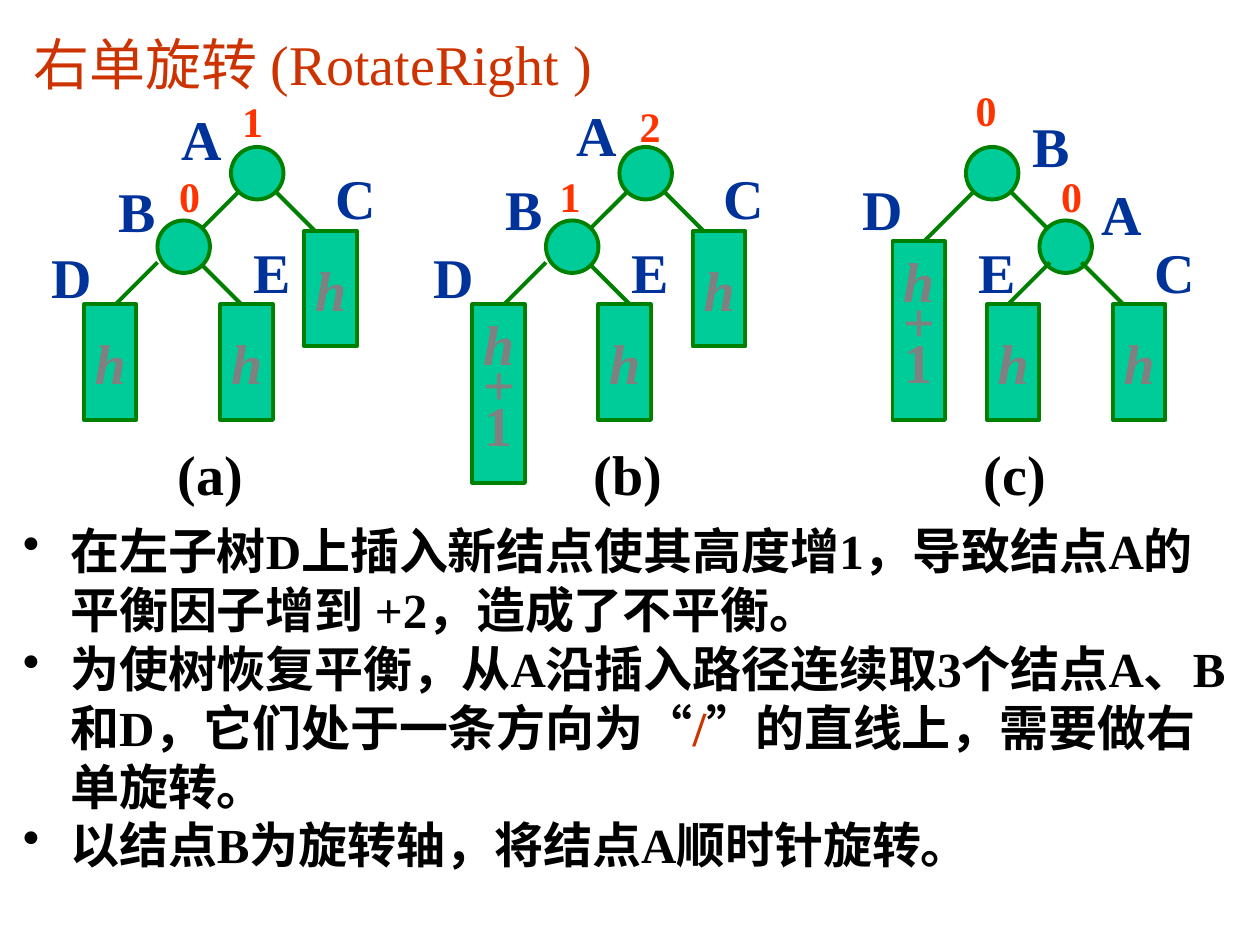
"""Build the slide on right single rotation of a balanced tree."""
from dataclasses import dataclass
from typing import NamedTuple

from lxml.etree import SubElement
from pptx import Presentation
from pptx.dml.color import RGBColor
from pptx.enum.shapes import MSO_CONNECTOR, MSO_SHAPE
from pptx.enum.text import MSO_ANCHOR, MSO_AUTO_SIZE, PP_ALIGN
from pptx.oxml.ns import qn
from pptx.util import Pt

PX = 9525
SIDE = 40
FONT = "Times New Roman"
HEX = {
    "title": "CC3300", "name": "003399", "mark": "FF3300", "text": "000000",
    "high": "808080", "fill": "00CC99", "line": "008000",
}


class Run(NamedTuple):
    text: str
    color: str = ""
    slant: bool = False


class Edge(NamedTuple):
    x: int
    y: int
    to_x: int
    to_y: int


class Spot(NamedTuple):
    x: int
    y: int
    text: str = ""


class Box(NamedTuple):
    x: int
    y: int
    tall: bool = False


@dataclass
class Tree:
    edges: list[Edge]
    nodes: list[Spot]
    boxes: list[Box]
    names: list[Spot]
    marks: list[Spot]
    low: tuple[Edge, ...] = ()


TREES = [
    Tree(
        edges=[Edge(192, 136, 152, 176), Edge(200, 136, 248, 184),
               Edge(120, 200, 80, 240), Edge(152, 200, 200, 248)],
        nodes=[Spot(176, 112), Spot(120, 168)],
        boxes=[Box(64, 232), Box(168, 232), Box(232, 176)],
        names=[Spot(129, 75, "A"), Spot(81, 130, "B"), Spot(246, 120, "C"),
               Spot(30, 180, "D"), Spot(184, 176, "E")],
        marks=[Spot(175, 68, "1"), Spot(127, 125, "0")],
    ),
    Tree(
        edges=[Edge(480, 144, 440, 184), Edge(504, 144, 552, 192),
               Edge(416, 200, 376, 240), Edge(448, 200, 496, 248)],
        nodes=[Spot(472, 112), Spot(416, 168)],
        boxes=[Box(360, 232, True), Box(456, 232), Box(528, 176)],
        names=[Spot(430, 72, "A"), Spot(376, 128, "B"), Spot(542, 120, "C"),
               Spot(321, 180, "D"), Spot(472, 176, "E")],
        marks=[Spot(478, 72, "2"), Spot(417, 125, "1")],
    ),
    Tree(
        edges=[Edge(752, 136, 704, 184), Edge(760, 136, 808, 184)],
        nodes=[Spot(736, 112), Spot(792, 168)],
        boxes=[Box(680, 184, True), Box(752, 232), Box(848, 232)],
        names=[Spot(830, 132, "A"), Spot(777, 80, "B"), Spot(870, 176, "C"),
               Spot(648, 128, "D"), Spot(736, 176, "E")],
        marks=[Spot(734, 60, "0"), Spot(799, 125, "0")],
        low=(Edge(800, 200, 760, 240), Edge(824, 200, 872, 248)),
    ),
]
NOTES = [
    [Run("在左子树D上插入新结点使其高度增1，导致结点A的平衡因子增到 +2，造成了不平衡。")],
    [Run("为使树恢复平衡，从A沿插入路径连续取3个结点A、B和D，它们处于一条方向为“"),
     Run("/", "title"), Run("”的直线上，需要做右单旋转。")],
    [Run("以结点B为旋转轴，将结点A顺时针旋转。")],
]


def rgb(key: str) -> RGBColor:
    return RGBColor.from_string(HEX[key])


def write(shape, paras, *, color: str, size: int = 32, bold: bool = True,
          align=PP_ALIGN.LEFT, anchor=MSO_ANCHOR.TOP, wrap: bool = False,
          space: float = 1.0, hang: int = 0, tabs: tuple[int, ...] = ()) -> None:
    frame = shape.text_frame
    frame.word_wrap, frame.vertical_anchor = wrap, anchor
    for i, runs in enumerate(paras):
        para = frame.add_paragraph() if i else frame.paragraphs[0]
        para.alignment, para.line_spacing = align, space
        props = para._p.get_or_add_pPr()
        if hang:
            props.set("marL", str(hang * PX))
            props.set("indent", str(-hang * PX))
            SubElement(props, qn("a:buChar"), char="•")
        if tabs:
            stops = SubElement(props, qn("a:tabLst"))
            for stop in tabs:
                SubElement(stops, qn("a:tab"), pos=str(stop * PX), algn="l")
        for part in runs:
            run = para.add_run()
            run.text = part.text
            font = run.font
            font.name, font.size = FONT, Pt(size)
            font.bold, font.italic = bold, part.slant
            font.color.rgb = rgb(part.color or color)


def label(slide, x: int, y: int, wide: int, high: int, text: str, **form) -> None:
    shape = slide.shapes.add_textbox(x * PX, y * PX, wide * PX, high * PX)
    write(shape, [[Run(text)]], **form)
    shape.text_frame.auto_size = MSO_AUTO_SIZE.SHAPE_TO_FIT_TEXT


def link(slide, edge: Edge) -> None:
    line = slide.shapes.add_connector(
        MSO_CONNECTOR.STRAIGHT, *(n * PX for n in edge))
    line.line.color.rgb, line.line.width = rgb("line"), Pt(2.25)
    SubElement(line._element.spPr, qn("a:effectLst"))


def solid(slide, kind: MSO_SHAPE, x: int, y: int, high: int):
    shape = slide.shapes.add_shape(kind, x * PX, y * PX, SIDE * PX, high * PX)
    shape.shadow.inherit = False
    shape.fill.solid()
    shape.fill.fore_color.rgb = rgb("fill")
    shape.line.color.rgb, shape.line.width = rgb("line"), Pt(2.25)
    return shape


def draw(slide, tree: Tree) -> None:
    for edge in tree.edges:
        link(slide, edge)
    for node in tree.nodes:
        solid(slide, MSO_SHAPE.OVAL, node.x, node.y, SIDE)
    for edge in tree.low:
        link(slide, edge)
    for box in tree.boxes:
        shape = solid(slide, MSO_SHAPE.RECTANGLE, box.x, box.y, 136 if box.tall else 88)
        rows = [[Run("h", slant=True)]]
        if box.tall:
            rows += [[Run("+", slant=True)], [Run("1")]]
        write(shape, rows, color="high", align=PP_ALIGN.CENTER,
              anchor=MSO_ANCHOR.MIDDLE, space=0.6 if box.tall else 1.0)
    for name in tree.names:
        wide = 47 if name.text in "BE" else 50
        label(slide, name.x, name.y, wide, 61, name.text, color="name")
    for mark in tree.marks:
        label(slide, mark.x, mark.y, 34, 48, mark.text, color="mark", size=24)


def main() -> None:
    deck = Presentation()
    deck.slide_width, deck.slide_height = 960 * PX, 720 * PX
    slide = deck.slides.add_slide(deck.slide_layouts[5])
    title = slide.shapes.title
    title.left, title.top, title.width, title.height = (
        n * PX for n in (16, 16, 568, 64))
    write(title, [[Run("右单旋转 (RotateRight )")]], color="title", bold=False,
          align=PP_ALIGN.JUSTIFY, anchor=MSO_ANCHOR.MIDDLE, wrap=True)
    for tree in TREES:
        draw(slide, tree)
    label(slide, 126, 330, 681, 61, "(a)\t(b)\t(c)", color="text", tabs=(317, 614))
    body = slide.shapes.add_textbox(8 * PX, 392 * PX, 936 * PX, 288 * PX)
    write(body, NOTES, color="text", size=28, wrap=True, hang=36)
    deck.save("out.pptx")


if __name__ == "__main__":
    main()
